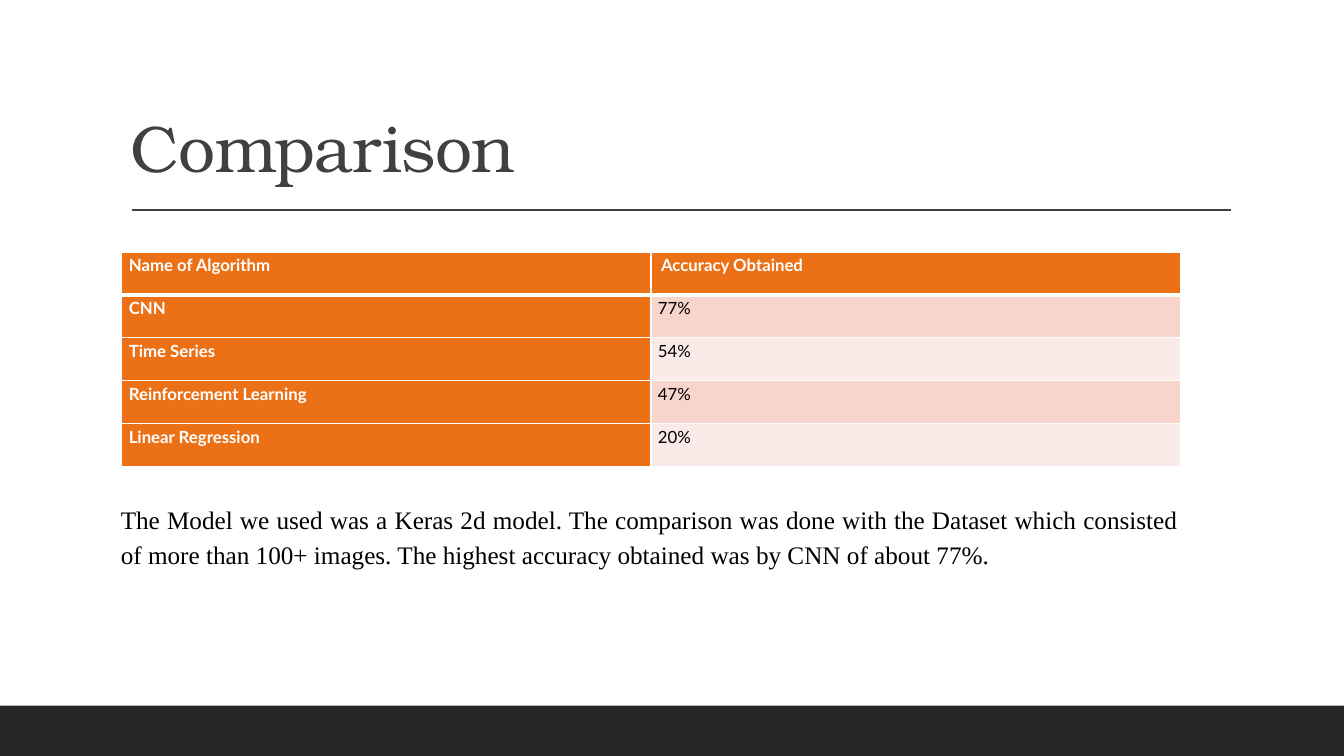
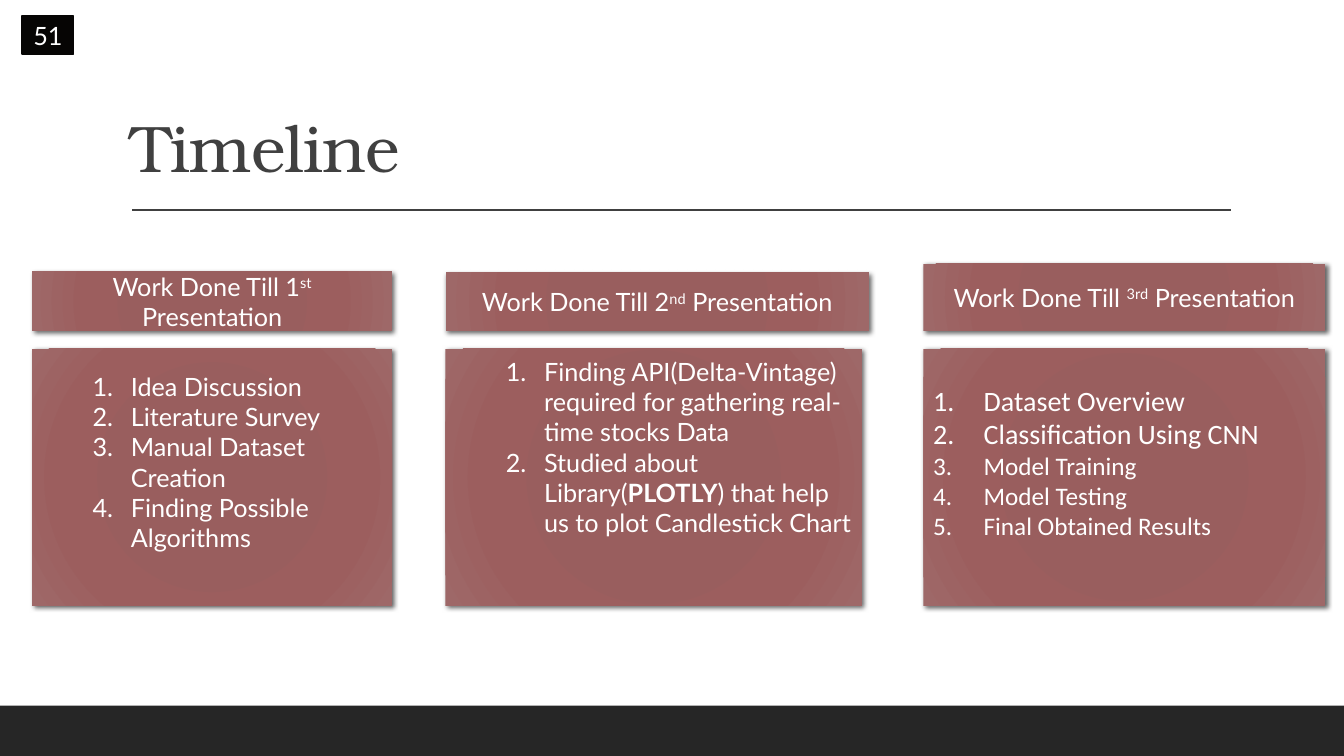
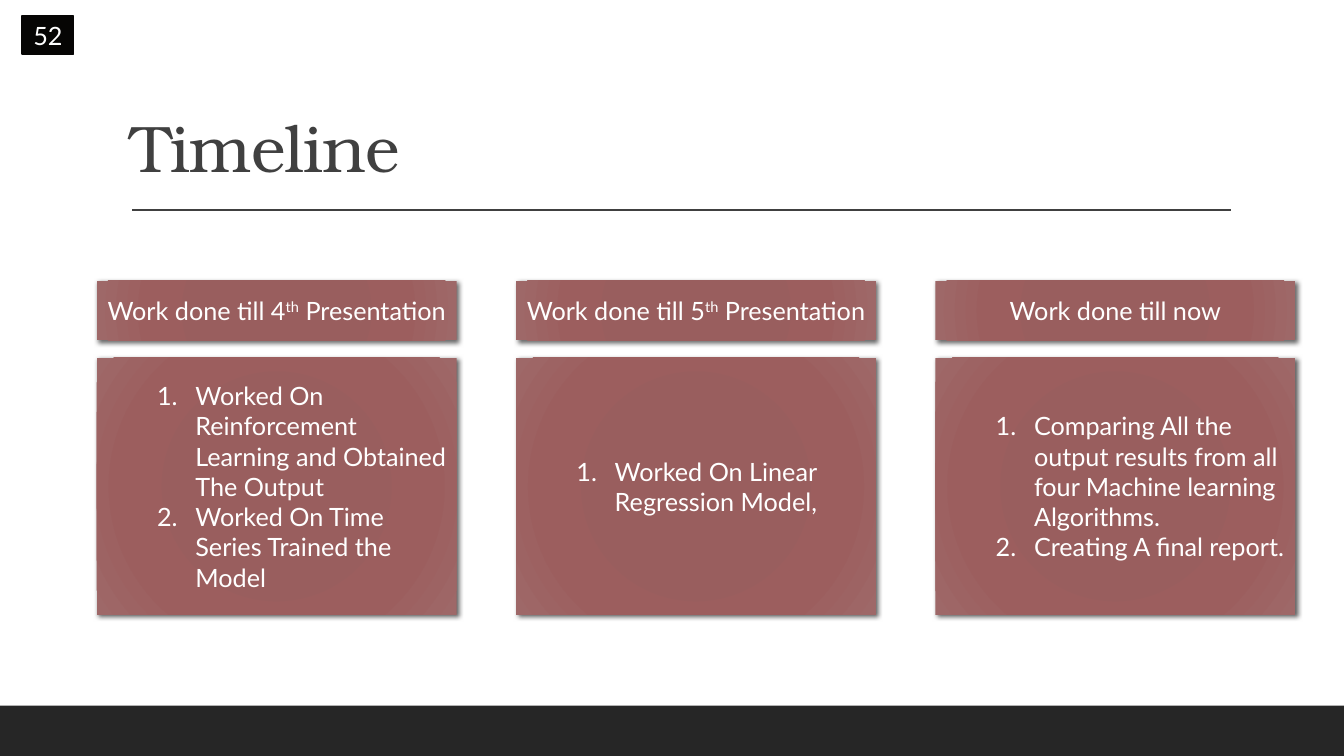
import pptx
import pptx.util
import pptx.oxml
import pptx.oxml.ns
import pptx.dml.color
import pptx.enum.text
import pptx.enum.shapes

RGB = pptx.dml.color.RGBColor
ALIGN = pptx.enum.text.PP_ALIGN
ANCHOR = pptx.enum.text.MSO_ANCHOR
RECT = pptx.enum.shapes.MSO_SHAPE.RECTANGLE
LINE = pptx.enum.shapes.MSO_CONNECTOR.STRAIGHT
Pt, Inches = pptx.util.Pt, pptx.util.Inches
qn = pptx.oxml.ns.qn

# Slide size and a grid of 160 columns by 90 rows
WIDE, HIGH = Inches(13.33), Inches(7.5)
COL, ROW = WIDE / 160, HIGH / 90

# Colours
WHITE = RGB(0xFF, 0xFF, 0xFF)
BLACK = RGB(0x00, 0x00, 0x00)
DARK = RGB(0x26, 0x26, 0x26)
GREY = RGB(0x40, 0x40, 0x40)
INK = RGB(0x06, 0x05, 0x04)
ORANGE = RGB(0xEC, 0x70, 0x16)
TINTS = (RGB(0xF8, 0xD5, 0xCC), RGB(0xFB, 0xEB, 0xE8))
BRICK = {0: RGB(0x98, 0x5C, 0x5C), 34: RGB(0x99, 0x5E, 0x5E),
         70: RGB(0x9C, 0x5E, 0x5E), 100: RGB(0x9E, 0x68, 0x68)}

# Text formats
TITLE = {"name": "TeX Gyre Bonum", "size": Pt(47), "color": GREY, "spc": -50}
LABEL = {"name": "Lato", "size": Pt(18), "color": WHITE}
LARGE = {"name": "Calibri", "size": Pt(20)}
SMALL = {"name": "Calibri"}
HEAD = {"name": "Lato", "size": Pt(12), "color": WHITE, "bold": True}
CELL = HEAD | {"color": BLACK, "bold": False}
PROSE = {"name": "Times New Roman", "size": Pt(18), "color": BLACK}
BOLD = {"bold": True}
SUPER = {"baseline": 30000}
LOOSE = {"alignment": ALIGN.JUSTIFY, "line_spacing": 1.15, "space_after": Pt(10)}
MID = {"alignment": ALIGN.CENTER}
LEFT = {"alignment": ALIGN.LEFT}

# Hanging indents of numbered lists, and the height of one line of text
DEEP, FLUSH = (0.88, -0.38), (0.5, -0.5)
BLANK = Inches(0.3)

# Card proportions in rows
BODY, GAP = 30.6, 2.1


def make(tag, **attrs):
    """Return a drawing element with the given attributes."""
    item = pptx.oxml.parse_xml(f"<a:{tag} {pptx.oxml.ns.nsdecls('a')}/>")
    for key, value in attrs.items():
        item.set(key, str(value))
    return item


def tint(color, **attrs):
    """Return a colour element, with a transparency if one is given."""
    item = make("srgbClr", val=color)
    for key, value in attrs.items():
        item.append(make(key, val=value))
    return item


def place(box):
    """Turn a box in columns and rows into lengths."""
    x, y, w, h = box
    return [round(n) for n in (x * COL, y * ROW, w * COL, h * ROW)]


def style(run, form):
    for key, value in form.items():
        if key == "color":
            run.font.color.rgb = value
        elif key in ("baseline", "spc"):
            run._r.get_or_add_rPr().set(key, str(value))
        else:
            setattr(run.font, key, value)


def write(frame, lines, form, para, indent=None):
    """Fill a frame; a line is a text or a list of (text, format) runs."""
    frame.word_wrap = True
    for i, line in enumerate(lines):
        part = frame.paragraphs[0] if i == 0 else frame.add_paragraph()
        for key, value in para.items():
            setattr(part, key, value)
        if indent:
            props = part._p.get_or_add_pPr()
            for key, value in zip(("marL", "indent"), indent):
                props.set(key, str(Inches(value)))
            props.append(make("buFont", typeface="+mj-lt"))
            props.append(make("buAutoNum", type="arabicPeriod"))
        for text, extra in [(line, {})] if isinstance(line, str) else line:
            run = part.add_run()
            run.text = text
            style(run, form | extra)


def block(slide, box, fill, edge=None):
    """Add a plain rectangle."""
    shape = slide.shapes.add_shape(RECT, *place(box))
    shape.shadow.inherit = False
    shape.fill.solid()
    shape.fill.fore_color.rgb = fill
    if edge:
        shape.line.color.rgb = fill
        shape.line.width = edge
    else:
        shape.line.fill.background()
    shape.text_frame.vertical_anchor = ANCHOR.MIDDLE
    return shape


def panel(slide, box):
    """Add a rectangle with a round gradient and a soft shadow."""
    shape = block(slide, box, BRICK[0])
    props = shape._element.spPr
    grad, stops = make("gradFill", rotWithShape=1), make("gsLst")
    for pos, color in BRICK.items():
        stop = make("gs", pos=pos * 1000)
        stop.append(tint(color))
        stops.append(stop)
    focus = make("path", path="circle")
    focus.append(make("fillToRect", **dict.fromkeys("ltrb", 100000)))
    grad.extend([stops, focus])
    props.replace(props.find(qn("a:solidFill")), grad)
    shade = make("outerShdw", blurRad=Pt(3.5), dist=Pt(2), dir=45 * 60000,
                 algn="tl", rotWithShape=0)
    shade.append(tint(BLACK, alpha=60000))
    props.find(qn("a:effectLst")).append(shade)
    return shape.text_frame


def prose(slide, box, lines, form, para, anchor=ANCHOR.TOP):
    frame = slide.shapes.add_textbox(*place(box)).text_frame
    frame.vertical_anchor = anchor
    write(frame, lines, form, para)


def base(deck, title, number=None):
    """Start a slide with the band, rule, title and number tag."""
    slide = deck.slides.add_slide(deck.slide_layouts[6])
    block(slide, (0, 84, 160, 6), DARK)
    x, y, w, _ = place((15.72, 25, 130.8, 0))
    rule = slide.shapes.add_connector(LINE, x, y, x + w, y)
    rule.line.color.rgb = GREY
    rule.line.width = Pt(1)
    rule._element.spPr.append(make("effectLst"))
    prose(slide, (14.4, 3.72, 132, 19.08), [title], TITLE,
          {"line_spacing": 0.9}, ANCHOR.BOTTOM)
    if number:
        tag = block(slide, (2.64, 1.92, 6.12, 4.56), INK, Pt(1.25))
        write(tag.text_frame, [number], LABEL, MID)
    return slide


def border(cell, **widths):
    """Draw white cell edges, ahead of the fill."""
    props = cell._tc.get_or_add_tcPr()
    for i, (side, width) in enumerate(widths.items()):
        edge, fill = make("ln" + side, w=Pt(width)), make("solidFill")
        fill.append(tint(WHITE))
        edge.append(fill)
        props.insert(i, edge)


def grid(slide, box, rows):
    """Add a table with a head row and a head column."""
    table = slide.shapes.add_table(len(rows), len(rows[0]), *place(box)).table
    for r, row in enumerate(rows):
        for c, text in enumerate(row):
            cell = table.cell(r, c)
            head = r == 0 or c == 0
            inset = 0.1 if r == 0 and c else 0.07
            sides = {"left": inset, "top": 0, "right": 0.07, "bottom": 0}
            for side, size in sides.items():
                setattr(cell, "margin_" + side, Inches(size))
            cell.fill.solid()
            cell.fill.fore_color.rgb = ORANGE if head else TINTS[(r - 1) % 2]
            border(cell, L=1, R=1, T=3 if r == 1 else 1, B=1 if r else 3)
            write(cell.text_frame, [text], HEAD if head else CELL, LOOSE)


def card(slide, box, head, steps, indent=DEEP, extra=0, blanks=0):
    """Add a heading panel over a numbered list; the list keeps its height."""
    x, y, w, h = box
    body = panel(slide, (x, y + h - BODY, w, BODY))
    body.margin_bottom = Inches(0.05) + blanks * BLANK
    write(body, steps, LABEL, LEFT, indent)
    top = panel(slide, (x, y, w + extra, h - BODY - GAP))
    write(top, [head], LABEL, MID)


def till(start, mark):
    return [(start, {}), (mark, SUPER), (" Presentation", {})]


def compare(deck):
    slide = base(deck, "Comparison")
    grid(slide, (14.5, 30, 126, 25.56), [
        ("Name of Algorithm", "Accuracy Obtained"),
        ("CNN", "77%"),
        ("Time Series", "54%"),
        ("Reinforcement Learning", "47%"),
        ("Linear Regression", "20%")])
    prose(slide, (13.2, 58.92, 128.28, 9.36), [
        "The Model we used was a Keras 2d model. The comparison was done with "
        "the Dataset which consisted of more than 100+ images. The highest "
        "accuracy obtained was by CNN of about 77%."], PROSE, LOOSE)


def early(deck):
    slide = base(deck, "Timeline", "51")
    card(slide, (3.84, 32.3, 42.84, 39.8), till("Work Done Till 1", "st"),
         ["Idea Discussion", "Literature Survey", "Manual Dataset Creation",
          "Finding Possible Algorithms"], blanks=1)
    card(slide, (53.04, 32.4, 49.56, 39.7), till("Work Done Till 2", "nd"),
         ["Finding API(Delta-Vintage) required for gathering real-time "
          "stocks Data",
          [("Studied about Library(", {}), ("PLOTLY", BOLD),
           (") that help us to plot Candlestick Chart", {})]],
         extra=0.84, blanks=2)
    card(slide, (109.92, 31.4, 47.88, 40.7), till("Work Done Till ", "3rd"),
         [[("Dataset Overview", LARGE)], [("Classification Using CNN", LARGE)],
          [("Model Training", SMALL)], [("Model Testing", SMALL)],
          [("Final Obtained Results", SMALL)]], FLUSH, blanks=1)


def late(deck):
    slide = base(deck, "Timeline", "52")
    cards = [
        (till("Work done till 4", "th"),
         ["Worked On Reinforcement Learning and Obtained The Output",
          "Worked On Time Series Trained the Model"]),
        (till("Work done till 5", "th"),
         ["Worked On Linear Regression Model,"]),
        ("Work done till now",
         ["Comparing All the output results from all four Machine learning "
          "Algorithms.", "Creating A final report."])]
    for i, (head, steps) in enumerate(cards):
        card(slide, (11.52 + 49.92 * i, 33.4, 42.84, 39.8), head, steps)


def main():
    deck = pptx.Presentation()
    deck.slide_width, deck.slide_height = WIDE, HIGH
    for build in (compare, early, late):
        build(deck)
    deck.save("out.pptx")


if __name__ == "__main__":
    main()
